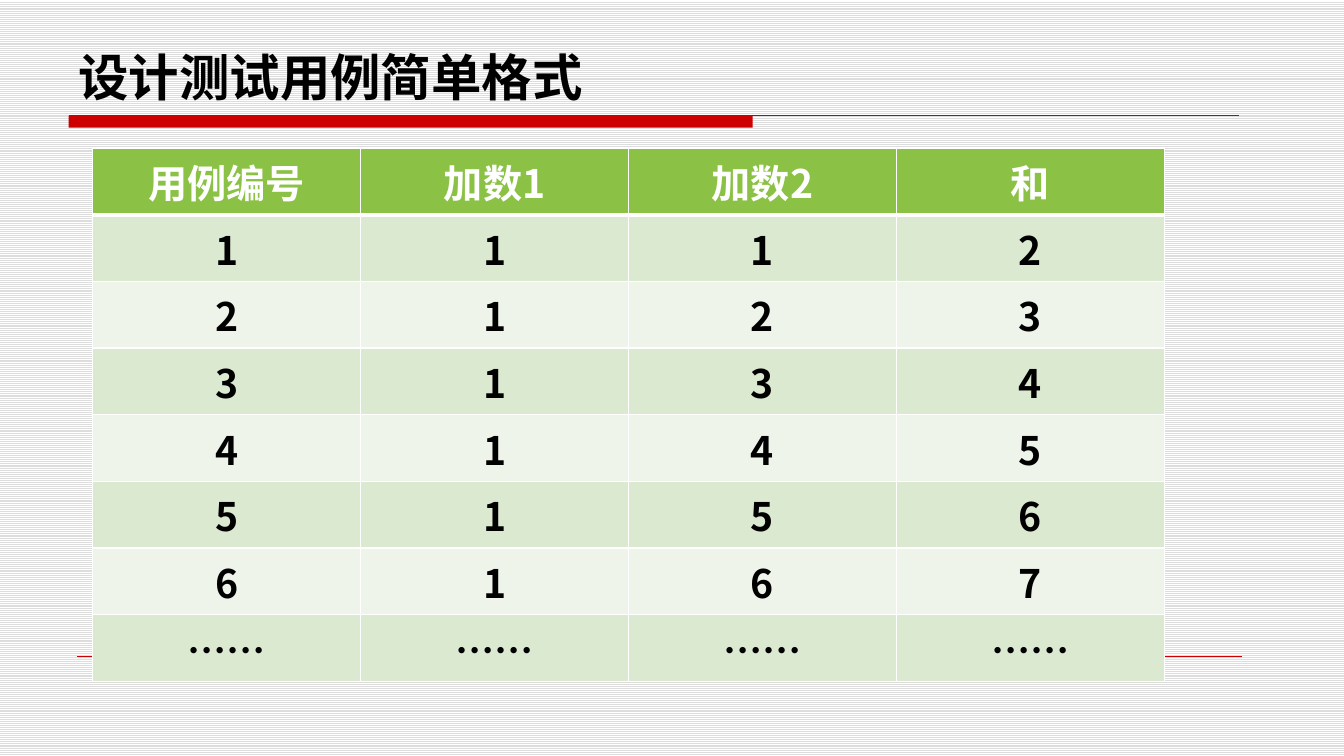
"""Build a slide with a simple test case table for adding two numbers."""
from lxml import etree
from pptx import Presentation
from pptx.dml.color import RGBColor
from pptx.enum.dml import MSO_PATTERN
from pptx.enum.shapes import MSO_CONNECTOR, MSO_SHAPE
from pptx.enum.text import MSO_ANCHOR, PP_ALIGN
from pptx.oxml.ns import qn
from pptx.util import Cm, Pt

TITLE = "设计测试用例简单格式"
HEAD = ["用例编号", "加数1", "加数2", "和"]
CASES = [[str(n), "1", str(n), str(n + 1)] for n in range(1, 7)]
ROWS = [HEAD, *CASES, ["……"] * len(HEAD)]

RED = RGBColor(0xCC, 0x00, 0x00)
BLACK = RGBColor(0x00, 0x00, 0x00)
WHITE = RGBColor(0xFF, 0xFF, 0xFF)
GRAY = RGBColor(0xDD, 0xDD, 0xDD)
GREEN = RGBColor(0x8B, 0xC1, 0x45)
BANDS = [RGBColor(0xEE, 0xF4, 0xE9), RGBColor(0xDA, 0xE9, 0xCF)]

SANS = "Noto Sans CJK SC"
SERIF = "Times New Roman"
STRIPES = MSO_PATTERN.LIGHT_HORIZONTAL
STRAIGHT = MSO_CONNECTOR.STRAIGHT
RECT = MSO_SHAPE.RECTANGLE
BOTTOM = MSO_ANCHOR.BOTTOM
CENTER = PP_ALIGN.CENTER

LEFT, RULE_Y = 1.73, 2.92
COL_W, ROW_H = 6.75, 1.68


def add_run(para, text, size, font, color):
    run = para.add_run()
    run.text = text
    run.font.size = Pt(size)
    run.font.bold = True
    run.font.name = font
    run.font.color.rgb = color
    east = etree.SubElement(run.font._element, qn("a:ea"))
    east.set("typeface", SANS)


def add_rule(slide, left, right, y, width):
    rule = slide.shapes.add_connector(STRAIGHT, Cm(left), Cm(y), Cm(right), Cm(y))
    rule.line.color.rgb = RED
    rule.line.width = Pt(width)
    etree.SubElement(rule._element.spPr, qn("a:effectLst"))


def add_edges(cell, top, bottom):
    props = cell._tc.get_or_add_tcPr()
    for side, width in (("L", 1), ("R", 1), ("T", top), ("B", bottom)):
        edge = etree.SubElement(props, qn(f"a:ln{side}"), w=str(Pt(width)))
        fill = etree.SubElement(edge, qn("a:solidFill"))
        etree.SubElement(fill, qn("a:srgbClr"), val=str(WHITE))


def add_table(slide):
    count, wide = len(ROWS), len(HEAD)
    frame = slide.shapes.add_table(
        count, wide, Cm(2.34), Cm(3.73), Cm(COL_W * wide), Cm(ROW_H * count))
    table = frame.table
    for col in table.columns:
        col.width = Cm(COL_W)
    for r, row in enumerate(ROWS):
        table.rows[r].height = Cm(ROW_H)
        for c, text in enumerate(row):
            cell = table.cell(r, c)
            add_edges(cell, 3 if r == 1 else 1, 3 if r == 0 else 1)
            cell.fill.solid()
            cell.fill.fore_color.rgb = BANDS[r % 2] if r else GREEN
            para = cell.text_frame.paragraphs[0]
            para.alignment = CENTER
            add_run(para, text, 28, SANS, BLACK if r else WHITE)


deck = Presentation()
deck.slide_width, deck.slide_height = Cm(33.87), Cm(19.05)
slide = deck.slides.add_slide(deck.slide_layouts[6])

back = slide.background.fill
back.patterned()
back.pattern = STRIPES
back.fore_color.rgb = GRAY
back.back_color.rgb = WHITE

bar = slide.shapes.add_shape(RECT, Cm(LEFT), Cm(RULE_Y), Cm(17.24), Cm(0.3))
bar.shadow.inherit = False
bar.fill.solid()
bar.fill.fore_color.rgb = RED
bar.line.fill.background()
add_rule(slide, LEFT, 31.22, RULE_Y, 0.75)
add_rule(slide, 1.93, 31.29, 16.54, 0.25)

title = slide.shapes.add_textbox(Cm(LEFT), Cm(0.74), Cm(29.21), Cm(2.08))
title.text_frame.word_wrap = True
title.text_frame.vertical_anchor = BOTTOM
add_run(title.text_frame.paragraphs[0], TITLE, 36, SERIF, BLACK)

add_table(slide)
deck.save("out.pptx")
